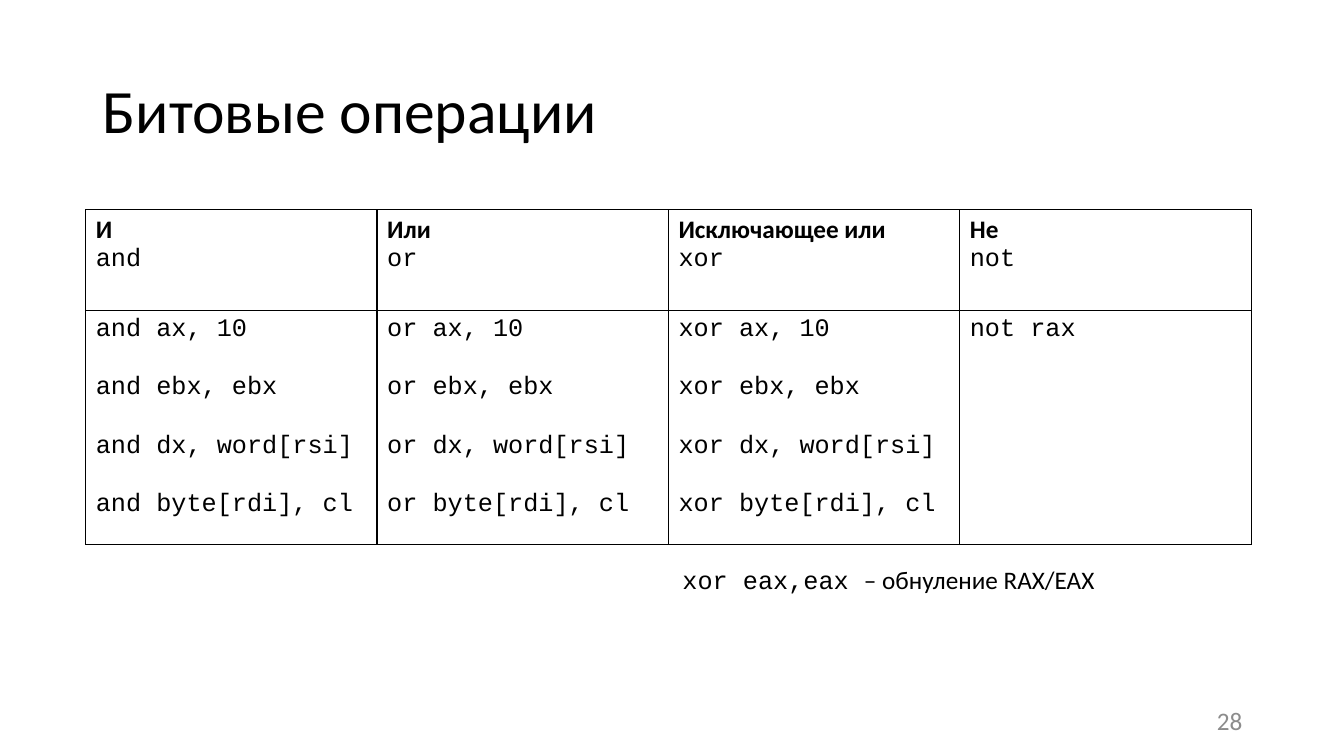
from lxml import etree
from pptx import Presentation
from pptx.dml.color import RGBColor
from pptx.enum.text import MSO_ANCHOR, PP_ALIGN
from pptx.oxml.ns import qn
from pptx.util import Inches, Pt

MIDDLE, TOP = MSO_ANCHOR.MIDDLE, MSO_ANCHOR.TOP
LEFT, RIGHT = PP_ALIGN.LEFT, PP_ALIGN.RIGHT
SANS, MONO = "Calibri", "Courier New"
BLACK, GRAY = "000000", "8C8C8C"

TITLE = "Битовые операции"
PAGE = "28"
NOTE = [("xor eax,eax ", MONO), ("– обнуление RAX/EAX", SANS)]
OPERATIONS = [("И", "and"), ("Или", "or"), ("Исключающее или", "xor"), ("Не", "not")]
OPERANDS = ["ax, 10", "ebx, ebx", "dx, word[rsi] ", "byte[rdi], cl"]
UNARY = {"not": ["rax"]}

COL_W, HEAD_H, ROW_H = 2.89, 1, 0.58
TABLE_LEFT, TABLE_TOP = 0.85, 2.08


def color(value):
    """Turn a hex string into a colour."""
    return RGBColor.from_string(value)


def add_run(p, text, font=SANS, size=18, fill=BLACK, bold=False):
    """Append a formatted run to a paragraph."""
    r = p.add_run()
    r.text = text
    r.font.name, r.font.size, r.font.bold = font, Pt(size), bold
    r.font.color.rgb = color(fill)


def add_text(s, box, runs, anchor=TOP, align=LEFT, spacing=1.0, wrap=True, **fmt):
    """Add a one-paragraph text box made of (text, font) runs."""
    tf = s.shapes.add_textbox(*map(Inches, box)).text_frame
    tf.word_wrap, tf.vertical_anchor = wrap, anchor
    p = tf.paragraphs[0]
    p.alignment, p.line_spacing = align, spacing
    for text, font in runs:
        add_run(p, text, font=font, **fmt)


def set_borders(cell, sides):
    """Draw black 1 pt lines on the given sides and none on the others."""
    tcPr = cell._tc.get_or_add_tcPr()
    for side in "LRTB":
        ln = etree.SubElement(tcPr, qn("a:ln" + side), w=str(Pt(1)))
        if side in sides:
            fill = etree.SubElement(ln, qn("a:solidFill"))
            etree.SubElement(fill, qn("a:srgbClr"), val=BLACK)
        else:
            etree.SubElement(ln, qn("a:noFill"))


def add_operations(s):
    """Add the table: one column per operation, one row per operand form."""
    rows, cols = len(OPERANDS) + 1, len(OPERATIONS)
    size = (COL_W * cols, HEAD_H + ROW_H * len(OPERANDS))
    table = s.shapes.add_table(rows, cols, *map(Inches, (TABLE_LEFT, TABLE_TOP, *size))).table
    table.first_row = table.horz_banding = False
    for i, row in enumerate(table.rows):
        row.height = Inches(ROW_H if i else HEAD_H)
    for j, (name, command) in enumerate(OPERATIONS):
        table.columns[j].width = Inches(COL_W)
        head = table.cell(0, j).text_frame
        add_run(head.paragraphs[0], name, bold=True)
        add_run(head.add_paragraph(), command, font=MONO)
        for i, operand in enumerate(UNARY.get(command, OPERANDS), 1):
            add_run(table.cell(i, j).text_frame.paragraphs[0], f"{command} {operand}", font=MONO)
        for i in range(rows):
            cell = table.cell(i, j)
            set_borders(cell, "LR" + "T" * (i < 2) + "B" * (i in (0, rows - 1)))
            cell.fill.background()


prs = Presentation()
prs.slide_width, prs.slide_height = Inches(13.33), Inches(7.5)
s = prs.slides.add_slide(prs.slide_layouts[6])
add_text(s, (0.92, 0.4, 11.5, 1.45), [(TITLE, SANS)], anchor=MIDDLE, spacing=0.9, size=44)
add_operations(s)
add_text(s, (6.67, 5.55, 4.32, 0.4), NOTE, wrap=False)
add_text(s, (9.42, 6.95, 3, 0.4), [(PAGE, SANS)], anchor=MIDDLE, align=RIGHT, fill=GRAY)
prs.save("out.pptx")
